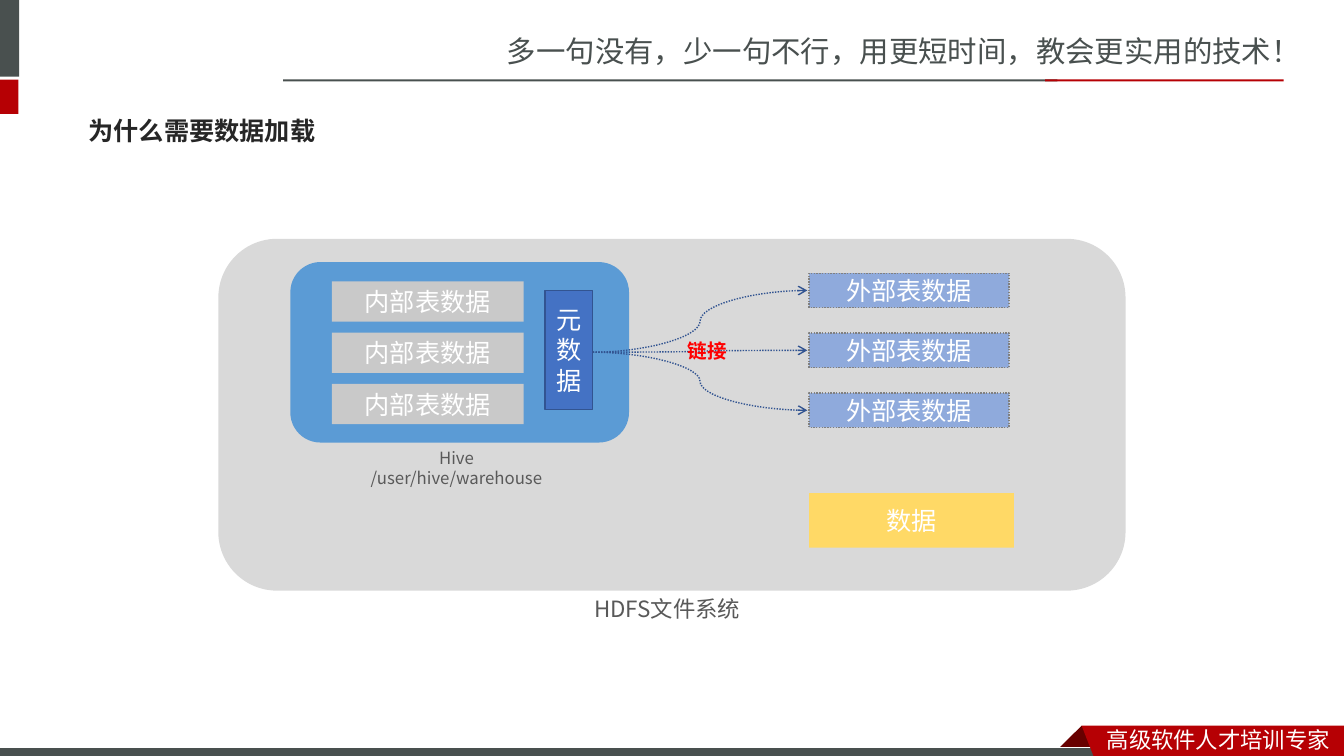
from lxml.etree import SubElement
from pptx import Presentation
from pptx.dml.color import RGBColor
from pptx.enum.dml import MSO_LINE
from pptx.enum.shapes import MSO_CONNECTOR, MSO_SHAPE
from pptx.enum.text import MSO_ANCHOR, PP_ALIGN
from pptx.oxml.ns import qn
from pptx.util import Pt

COLORS = {
    "slate": "49504F", "red": "B60004", "maroon": "680000", "white": "FFFFFF",
    "ink": "262626", "caption": "595959", "panel": "D9D9D9", "hive": "5B9BD5",
    "internal": "C9C9C9", "external": "8FAADC", "dots": "808080",
    "navy": "325491", "metadata": "4472C4", "data": "FFD966", "link": "FF0000",
}
SANS_SC = "Noto Sans CJK SC"
SANS_JP = "Noto Sans CJK JP"


def color(name):
    return RGBColor.from_string(COLORS[name])


def write(shape, text, size, ink, font=SANS_SC, bold=False,
          align=PP_ALIGN.CENTER, anchor=MSO_ANCHOR.MIDDLE, spacing=None):
    frame = shape.text_frame
    frame.word_wrap = True
    frame.vertical_anchor = anchor
    frame.text = text
    for para in frame.paragraphs:
        para.alignment = align
        para.line_spacing = spacing
        for span in para.runs:
            span.font.size = Pt(size)
            span.font.bold = bold
            span.font.name = font
            span.font.color.rgb = color(ink)
            east_asian = SubElement(span.font._element, qn("a:ea"))
            east_asian.set("typeface", font)


def paint(shape, fill, outline=None, width=1, dotted=False):
    shape.shadow.inherit = False
    shape.fill.solid()
    shape.fill.fore_color.rgb = color(fill)
    if outline is None:
        shape.line.fill.background()
        return
    shape.line.color.rgb = color(outline)
    shape.line.width = Pt(width)
    if dotted:
        shape.line.dash_style = MSO_LINE.ROUND_DOT


def add_block(page, place, fill, kind=MSO_SHAPE.RECTANGLE, **outline):
    block = page.shapes.add_shape(kind, *map(Pt, place))
    paint(block, fill, **outline)
    return block


def add_label(page, place, text, size, ink, **style):
    box = page.shapes.add_textbox(*map(Pt, place))
    style.setdefault("anchor", MSO_ANCHOR.TOP)
    # Exact spacing keeps the tall CJK font to 1.2 lines
    style.setdefault("spacing", Pt(size * 1.2))
    write(box, text, size, ink, **style)


def add_outline(page, points, fill):
    corners = [(Pt(x), Pt(y)) for x, y in points]
    builder = page.shapes.build_freeform(*corners[0])
    builder.add_line_segments(corners[1:], close=True)
    paint(builder.convert_to_shape(), fill)


def add_link(page, start, end):
    link = page.shapes.add_connector(MSO_CONNECTOR.CURVE, *map(Pt, start + end))
    link.line.color.rgb = color("navy")
    link.line.width = Pt(1)
    link.line.dash_style = MSO_LINE.ROUND_DOT
    SubElement(link.line._get_or_add_ln(), qn("a:tailEnd")).set("type", "arrow")
    SubElement(link._element.spPr, qn("a:effectLst"))


def add_frame(page):
    """Header slogan, side marks, rules and footer ribbon."""
    add_label(page, (355, 20.2, 605.5, 32.4),
              "多一句没有，少一句不行，用更短时间，教会更实用的技术！", 21, "slate",
              align=PP_ALIGN.LEFT)
    add_block(page, (-4.3, 0, 18, 54.7), "slate")
    add_block(page, (-4.3, 56.9, 17.4, 24.5), "red")
    add_block(page, (202.3, 56.6, 553, 1.5), "slate")
    add_block(page, (746.6, 56.6, 170.4, 1.5), "red")
    add_outline(page, [(772.6, 518.4), (788.4, 534.2), (787.7, 535),
                       (757.4, 535), (756.7, 534.2)], "maroon")
    add_block(page, (-0.7, 533.6, 792, 8.6), "slate", outline="white", width=0.75)
    add_outline(page, [(772.6, 518.4), (960, 518.4), (960, 542.9),
                       (781.9, 542.2)], "red")
    add_label(page, (783.4, 514.8, 176.4, 26.6), "高级软件人才培训专家", 16, "white",
              align=PP_ALIGN.LEFT)


def add_storage(page):
    """HDFS panel with the Hive warehouse and its external tables."""
    rounded = MSO_SHAPE.ROUNDED_RECTANGLE
    add_block(page, (156, 170.6, 648, 251.3), "panel", kind=rounded)
    add_label(page, (316.8, 421.9, 319.7, 26.6), "HDFS文件系统", 16, "caption",
              font=SANS_JP)
    add_block(page, (207.4, 187.2, 241.9, 128.9), "hive", kind=rounded)
    add_label(page, (224.6, 316.1, 203, 36), "Hive\n/user/hive/warehouse", 12,
              "caption", font=SANS_JP)
    for row in range(3):
        internal = add_block(page, (237, 201 + 36.6 * row, 137, 28.8), "internal")
        write(internal, "内部表数据", 18, "white")
        external_top = 195.2 + 42.8 * row
        external = add_block(page, (578, external_top, 142.8, 24.6), "external",
                             outline="dots", dotted=True)
        write(external, "外部表数据", 18, "white")
        add_link(page, (423.4, 251.6), (576.7, external_top + 12.3))
    add_label(page, (423.4, 238.3, 163.4, 24.5), "链接", 14, "link", bold=True)
    data = add_block(page, (578, 352.3, 146.2, 38.9), "data")
    write(data, "数据", 18, "white")
    metadata = add_block(page, (389.4, 207.4, 34, 85), "metadata", outline="navy")
    write(metadata, "元数据", 18, "white", spacing=Pt(21.6))


def main():
    deck = Presentation()
    deck.slide_width, deck.slide_height = Pt(960), Pt(540)
    page = deck.slides.add_slide(deck.slide_layouts[6])
    add_frame(page)
    add_label(page, (56.2, 74.2, 842.4, 41), "为什么需要数据加载", 18, "ink",
              font=SANS_JP, bold=True, align=PP_ALIGN.LEFT,
              anchor=MSO_ANCHOR.MIDDLE, spacing=0.9)
    add_storage(page)
    deck.save("out.pptx")


if __name__ == "__main__":
    main()
